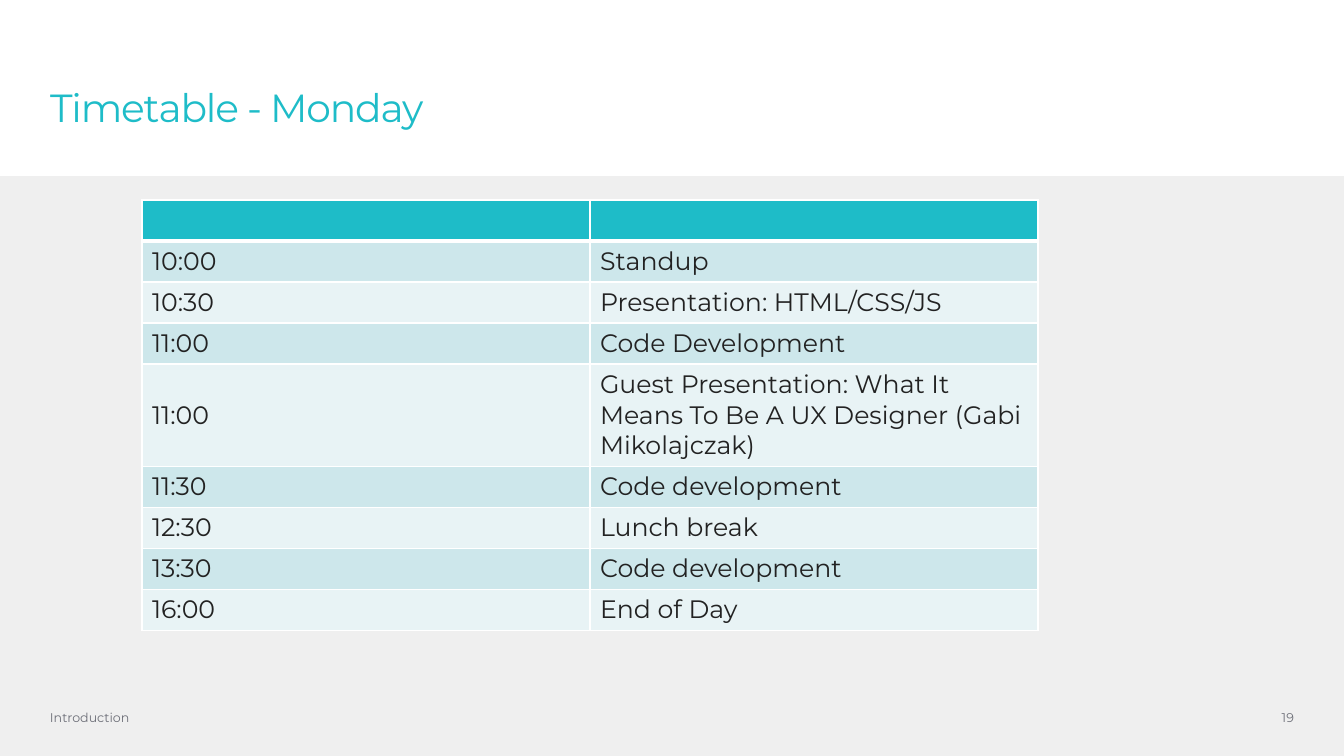
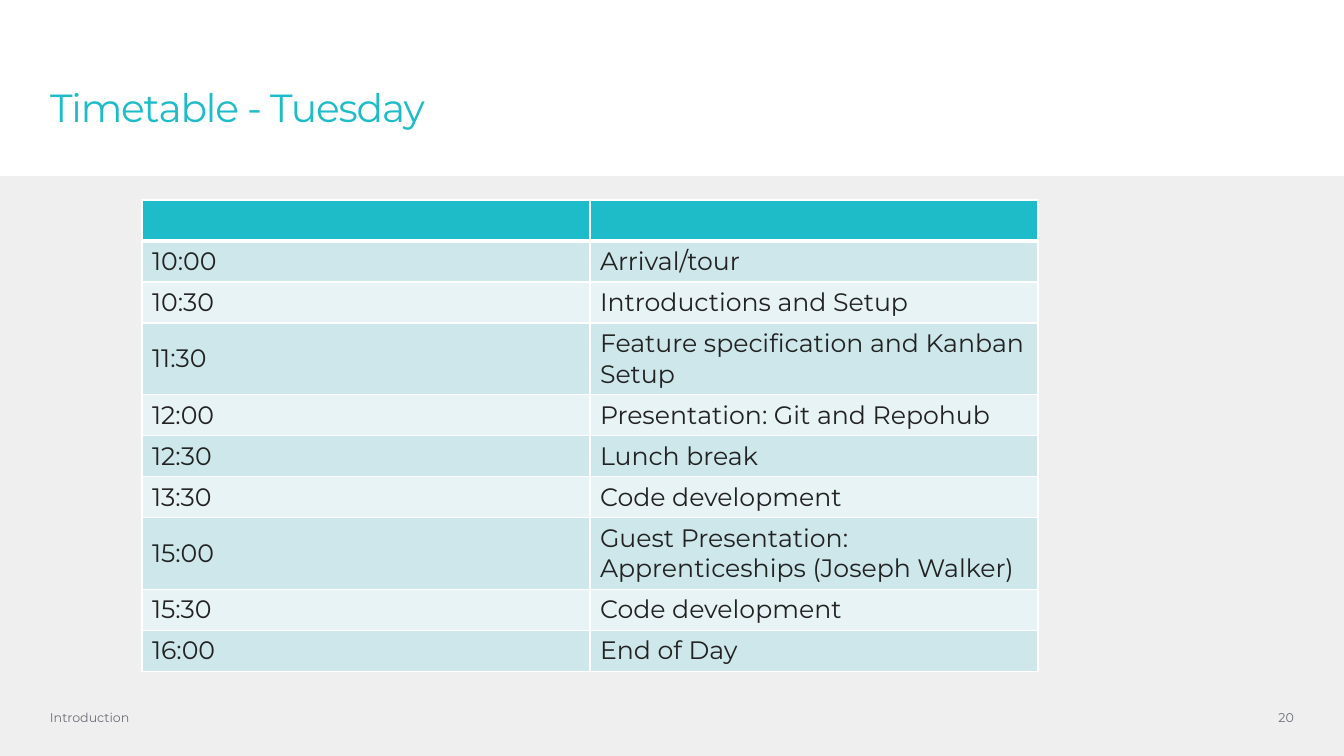
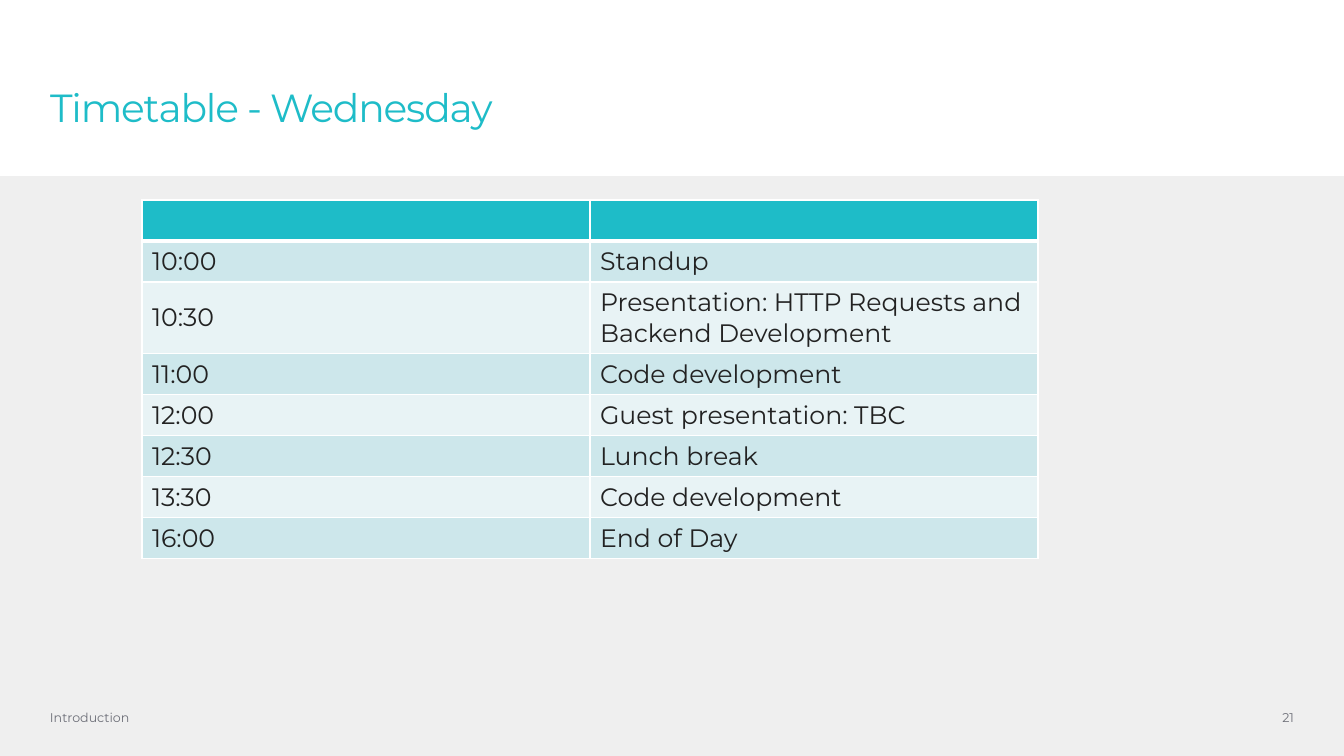
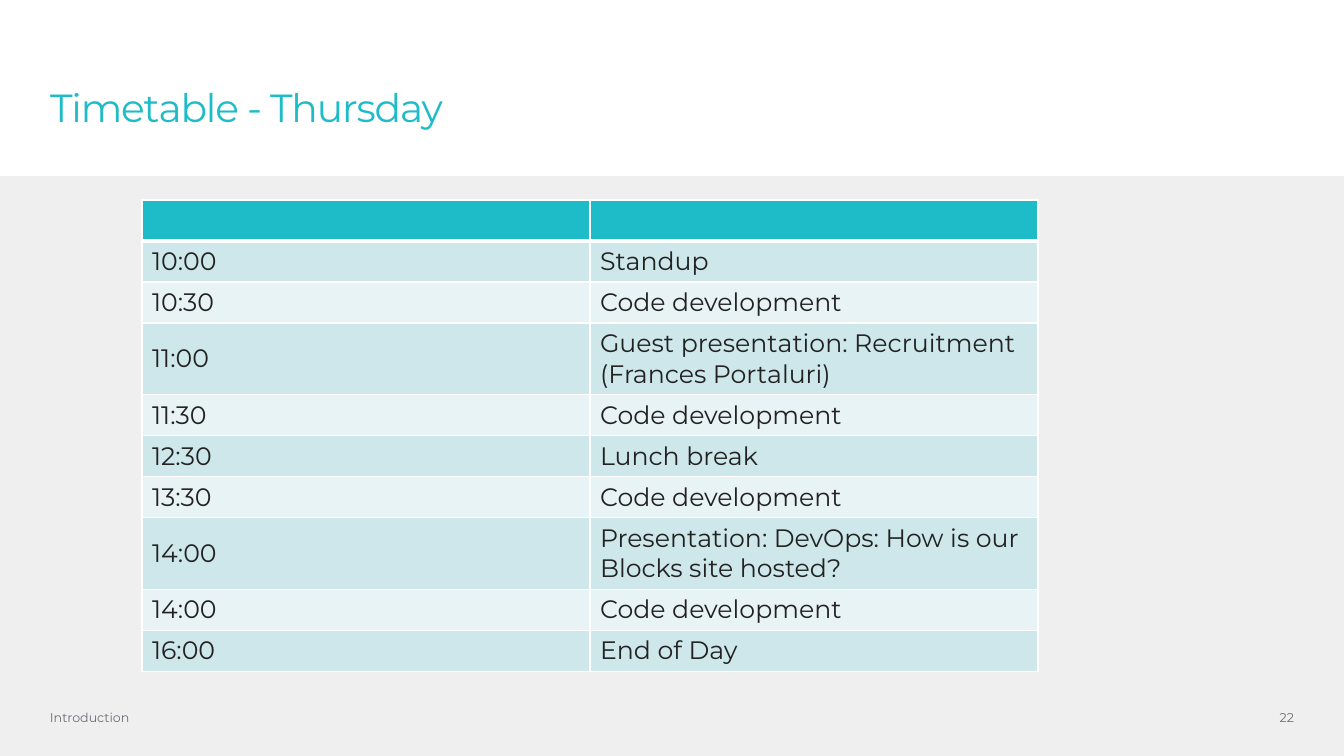
from lxml.etree import SubElement
from pptx import Presentation
from pptx.dml.color import RGBColor
from pptx.enum.shapes import MSO_SHAPE
from pptx.enum.text import MSO_ANCHOR, MSO_AUTO_SIZE, PP_ALIGN
from pptx.oxml.ns import qn
from pptx.util import Emu, Pt

SLIDE_W, SLIDE_H = 1344, 756
SCALE = 12192000 / SLIDE_W  # EMU in one px
FONT = "Montserrat"
TEAL = RGBColor(0x1E, 0xBC, 0xC8)
BAND_GRAY = RGBColor(0xEF, 0xEF, 0xEF)
FOOTER_GRAY = RGBColor(0x6D, 0x6F, 0x78)
INK = RGBColor(0x22, 0x22, 0x22)
ROW_DARK = RGBColor(0xCD, 0xE7, 0xEB)
ROW_LIGHT = RGBColor(0xE8, 0xF3, 0xF5)
WHITE = RGBColor(0xFF, 0xFF, 0xFF)

MARGIN = 50
BAND_TOP = 176
FOOTER_TOP, FOOTER_H = 705, 25
TABLE_LEFT, TABLE_TOP = 142, 200
COLUMN_W, ROW_H = 448, 41
FIRST_PAGE = 19

TIMETABLES = {
    "Monday": [
        ("10:00", "Standup"),
        ("10:30", "Presentation: HTML/CSS/JS"),
        ("11:00", "Code Development"),
        ("11:00", "Guest Presentation: What It Means To Be A UX Designer (Gabi Mikolajczak)"),
        ("11:30", "Code development"),
        ("12:30", "Lunch break"),
        ("13:30", "Code development"),
        ("16:00", "End of Day"),
    ],
    "Tuesday": [
        ("10:00", "Arrival/tour"),
        ("10:30", "Introductions and Setup"),
        ("11:30", "Feature specification and Kanban Setup"),
        ("12:00", "Presentation: Git and Repohub"),
        ("12:30", "Lunch break"),
        ("13:30", "Code development"),
        ("15:00", "Guest Presentation: Apprenticeships (Joseph Walker)"),
        ("15:30", "Code development"),
        ("16:00", "End of Day"),
    ],
    "Wednesday": [
        ("10:00", "Standup"),
        ("10:30", "Presentation: HTTP Requests and Backend Development"),
        ("11:00", "Code development"),
        ("12:00", "Guest presentation: TBC"),
        ("12:30", "Lunch break"),
        ("13:30", "Code development"),
        ("16:00", "End of Day"),
    ],
    "Thursday": [
        ("10:00", "Standup"),
        ("10:30", "Code development"),
        ("11:00", "Guest presentation: Recruitment (Frances Portaluri)"),
        ("11:30", "Code development"),
        ("12:30", "Lunch break"),
        ("13:30", "Code development"),
        ("14:00", "Presentation: DevOps: How is our Blocks site hosted?"),
        ("14:00", "Code development"),
        ("16:00", "End of Day"),
    ],
}


def px(*lengths):
    return [Emu(round(length * SCALE)) for length in lengths]


def write(frame, text, size, color, anchor, align=PP_ALIGN.LEFT, inset=0):
    """Fill a text frame with one formatted run and return the run."""
    frame.word_wrap = True
    frame.auto_size = MSO_AUTO_SIZE.NONE
    frame.vertical_anchor = anchor
    frame.margin_left = frame.margin_right = inset
    frame.margin_top = frame.margin_bottom = inset
    paragraph = frame.paragraphs[0]
    paragraph.alignment = align
    run = paragraph.add_run()
    run.text = text
    run.font.name = FONT
    run.font.size = Pt(size)
    run.font.color.rgb = color
    return run


prs = Presentation()
prs.slide_width, prs.slide_height = px(SLIDE_W, SLIDE_H)
title_only = prs.slide_layouts[5]

for page, (day, sessions) in enumerate(TIMETABLES.items(), FIRST_PAGE):
    slide = prs.slides.add_slide(title_only)

    # Gray band, drawn once and kept on the shared layout
    if page == FIRST_PAGE:
        band = slide.shapes.add_shape(
            MSO_SHAPE.RECTANGLE, *px(0, BAND_TOP, SLIDE_W, SLIDE_H - BAND_TOP))
        band.shadow.inherit = False
        band.fill.solid()
        band.fill.fore_color.rgb = BAND_GRAY
        band.line.fill.background()
        title_only.shapes.element.insert(2, band.element)

    # Title
    title = slide.shapes.title
    title.left, title.top, title.width, title.height = px(MARGIN, 89, 1163, 125)
    title_run = write(title.text_frame, f"Timetable - {day}", 28, TEAL, MSO_ANCHOR.TOP)
    title_run.font._element.set("spc", "-80")
    title.text_frame.paragraphs[0].line_spacing = 0.9

    # Footer and page number
    for left, width, text, align in (
        (MARGIN, 918, "Introduction", PP_ALIGN.LEFT),
        (1214, 80, str(page), PP_ALIGN.RIGHT),
    ):
        footer = slide.shapes.add_textbox(*px(left, FOOTER_TOP, width, FOOTER_H))
        write(footer.text_frame, text, 9, FOOTER_GRAY, MSO_ANCHOR.MIDDLE, align)

    # Timetable with an empty header row
    rows = [("", "")] + sessions
    timetable = slide.shapes.add_table(
        len(rows), 2, *px(TABLE_LEFT, TABLE_TOP, 2 * COLUMN_W, ROW_H * len(rows))).table
    for column in timetable.columns:
        column.width = px(COLUMN_W)[0]
    for r, row in enumerate(rows):
        timetable.rows[r].height = px(ROW_H)[0]
        for c, text in enumerate(row):
            cell = timetable.cell(r, c)

            # White borders, heavier under the header
            cell_properties = cell._tc.get_or_add_tcPr()
            for side in ("lnL", "lnR", "lnT", "lnB"):
                heavy = (r, side) in ((0, "lnB"), (1, "lnT"))
                border = SubElement(cell_properties, qn(f"a:{side}"),
                                    w=str(Pt(3 if heavy else 1)))
                border_fill = SubElement(border, qn("a:solidFill"))
                SubElement(border_fill, qn("a:srgbClr"), val=str(WHITE))

            cell.fill.solid()
            cell.fill.fore_color.rgb = TEAL if r == 0 else ROW_DARK if r % 2 else ROW_LIGHT
            cell.vertical_anchor = MSO_ANCHOR.MIDDLE
            if text:
                run = cell.text_frame.paragraphs[0].add_run()
                run.text = text
                run.font.name = FONT
                run.font.size = Pt(18)
                run.font.color.rgb = INK

prs.save("out.pptx")
